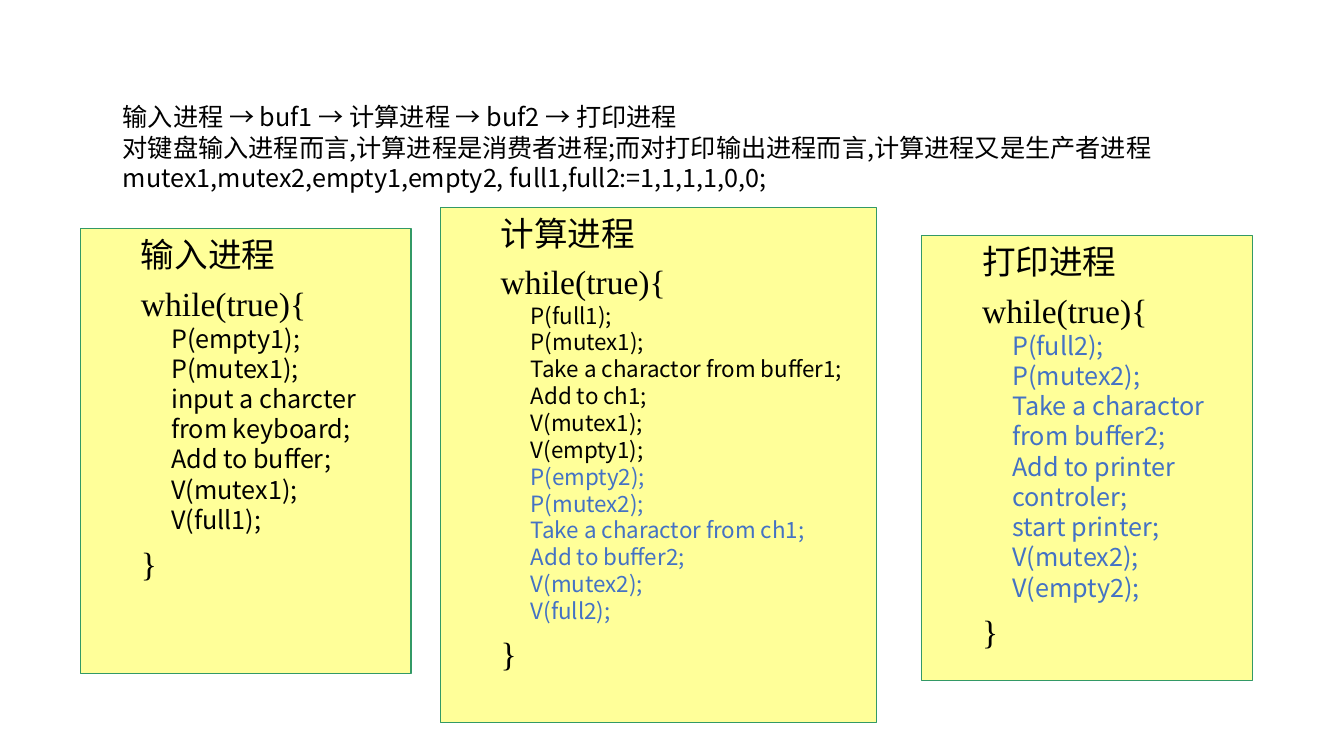
from lxml import etree
from pptx import Presentation
from pptx.dml.color import RGBColor
from pptx.enum.shapes import MSO_SHAPE
from pptx.enum.text import MSO_ANCHOR, PP_ALIGN
from pptx.oxml.ns import qn
from pptx.util import Inches, Pt

RECTANGLE = MSO_SHAPE.RECTANGLE
TOP = MSO_ANCHOR.TOP
LEFT = PP_ALIGN.LEFT

SANS, SERIF = "Noto Sans CJK SC", "Times New Roman"
BLACK, BLUE, YELLOW, GREEN = "000000", "4472C4", "FFFF99", "339966"

OVERVIEW = [
    "输入进程 → buf1 → 计算进程 → buf2 → 打印进程",
    "对键盘输入进程而言,计算进程是消费者进程;而对打印输出进程而言,计算进程又是生产者进程",
    "mutex1,mutex2,empty1,empty2, full1,full2:=1,1,1,1,0,0;",
]

# Heading, box (left, top, width, height), code size, statements by colour
PROCESSES = [
    ("输入进程", (0.8, 2.27, 3.28, 4.41), 18, {
        BLACK: ["P(empty1);", "P(mutex1);", "input a charcter from keyboard;",
                "Add to buffer;", "V(mutex1);", "V(full1);"],
    }),
    ("计算进程", (4.37, 2.06, 4.33, 5.11), 16, {
        BLACK: ["P(full1);", "P(mutex1);", "Take a charactor from buffer1;",
                "Add to ch1;", "V(mutex1);", "V(empty1);"],
        BLUE: ["P(empty2);", "P(mutex2);", "Take a charactor from ch1;",
               "Add to buffer2;", "V(mutex2);", "V(full2);"],
    }),
    ("打印进程", (9.15, 2.34, 3.28, 4.41), 18, {
        BLUE: ["P(full2);", "P(mutex2);", "Take a charactor from buffer2;",
               "Add to printer controler;", "start printer;", "V(mutex2);",
               "V(empty2);"],
    }),
]


def rgb(value):
    return RGBColor.from_string(value)


def add_line(frame, text, size, font=SANS, color=BLACK, margin=0, indent=0, before=0):
    """Write one paragraph, using the frame's empty first one if it is free."""
    first = not frame.text
    line = frame.paragraphs[0] if first else frame.add_paragraph()
    line.text = text
    line.alignment = LEFT
    line.space_before = Pt(0 if first else before)
    properties = line._p.get_or_add_pPr()
    properties.set("marL", str(Inches(margin)))
    properties.set("indent", str(Inches(indent)))
    for run in line.runs:
        run.font.size = Pt(size)
        run.font.color.rgb = rgb(color)
        run.font.name = font
        east_asian = etree.SubElement(run._r.get_or_add_rPr(), qn("a:ea"))
        east_asian.set("typeface", SANS)


def add_overview(slide):
    overview = slide.shapes.add_textbox(Inches(1.12), Inches(0.96), Inches(11.28), Inches(1))
    frame = overview.text_frame
    frame.word_wrap = True
    for text in OVERVIEW:
        add_line(frame, text, 18)


def add_process(slide, heading, box, code_size, statements):
    panel = slide.shapes.add_shape(RECTANGLE, *map(Inches, box))
    panel.shadow.inherit = False
    panel.fill.solid()
    panel.fill.fore_color.rgb = rgb(YELLOW)
    panel.line.color.rgb = rgb(GREEN)
    panel.line.width = Pt(0.75)
    frame = panel.text_frame
    frame.word_wrap = True
    frame.vertical_anchor = TOP

    outer = {"size": 24, "font": SERIF, "margin": 0.8, "indent": -0.3, "before": 6}
    add_line(frame, heading, **outer)
    add_line(frame, "while(true){", **outer)
    for color, lines in statements.items():
        for text in lines:
            add_line(frame, text, code_size, color=color, margin=0.8)
    add_line(frame, "}", **outer)


def main():
    presentation = Presentation()
    presentation.slide_width = Inches(13.34)
    presentation.slide_height = Inches(7.5)
    slide = presentation.slides.add_slide(presentation.slide_layouts[6])

    # Data flow and semaphores
    add_overview(slide)

    # Pseudocode of the three processes
    for process in PROCESSES:
        add_process(slide, *process)

    presentation.save("out.pptx")


if __name__ == "__main__":
    main()
